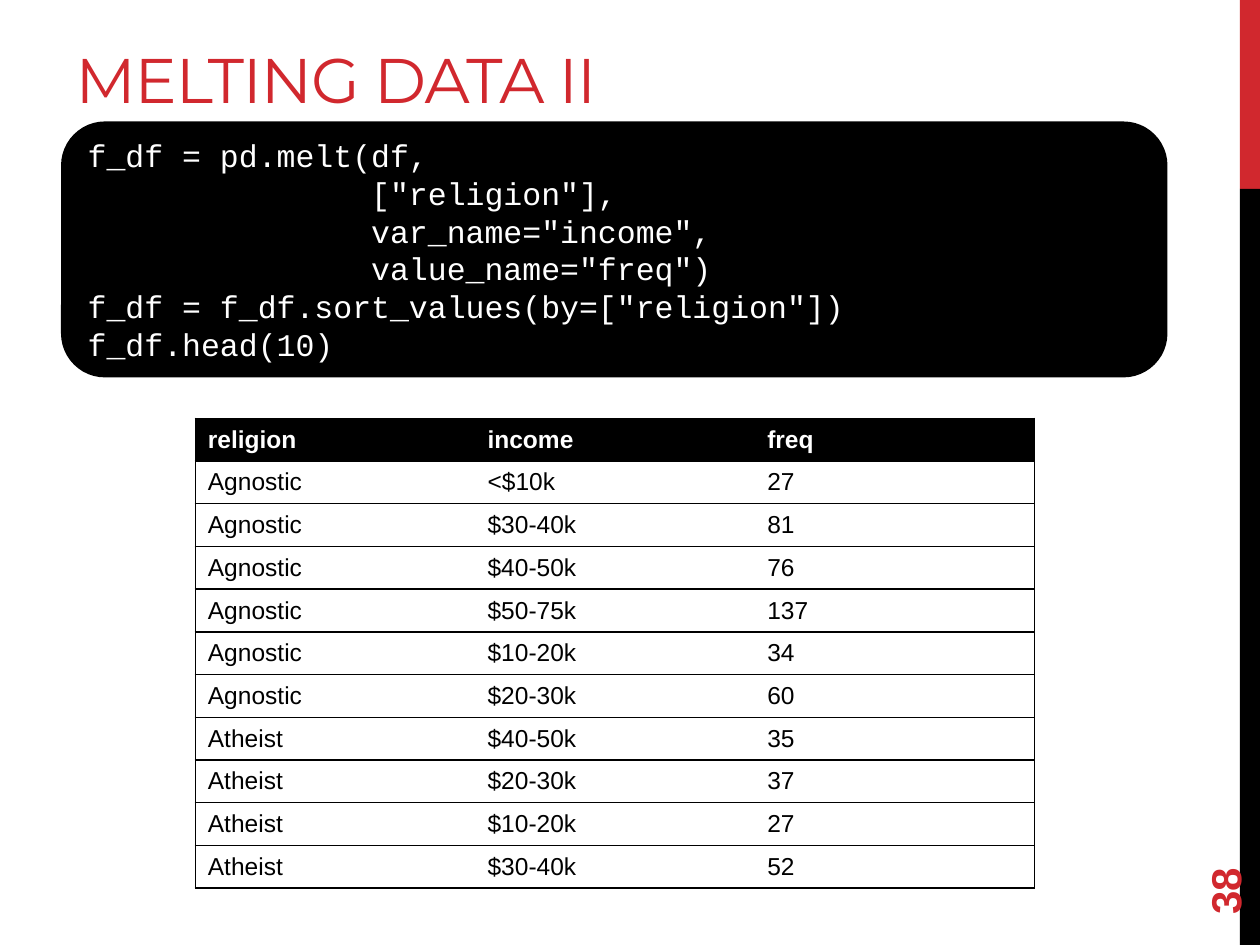
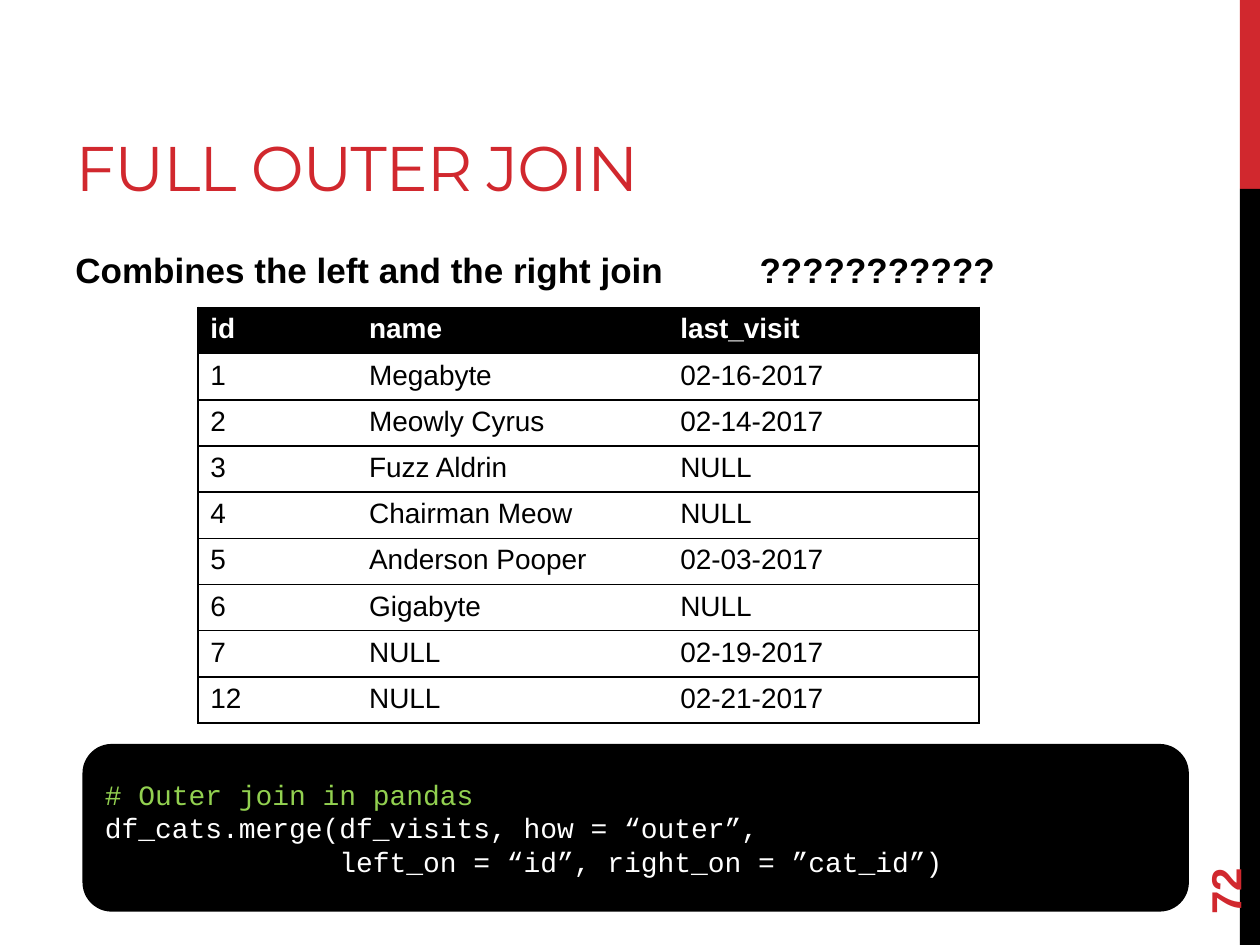
from dataclasses import dataclass

from lxml.etree import SubElement
from pptx import Presentation
from pptx.dml.color import RGBColor
from pptx.enum.shapes import MSO_SHAPE
from pptx.enum.text import MSO_ANCHOR, MSO_AUTO_SIZE, PP_ALIGN
from pptx.oxml.ns import qn
from pptx.shapes.autoshape import Shape
from pptx.slide import Slide
from pptx.table import _Cell as Cell
from pptx.text.text import TextFrame
from pptx.util import Emu, Pt

SCALE = 9144
RED = RGBColor(0xD1, 0x28, 0x2E)
BLACK = RGBColor(0x00, 0x00, 0x00)
WHITE = RGBColor(0xFF, 0xFF, 0xFF)
GREEN = RGBColor(0x92, 0xD0, 0x50)
HEAD = "Montserrat"
BODY = "Arial"
MONO = "Courier New"
LEFT = 50


@dataclass(frozen=True)
class Box:
    left: int
    top: int
    width: int
    height: int

    def emu(self) -> tuple[Emu, Emu, Emu, Emu]:
        return (px(self.left), px(self.top), px(self.width), px(self.height))


@dataclass(frozen=True)
class Grid:
    box: Box
    widths: tuple[int, ...]
    rows: tuple[tuple[str, ...], ...]
    size: int
    anchor: MSO_ANCHOR


@dataclass(frozen=True)
class Code:
    box: Box
    lines: tuple[str, ...]
    size: int


@dataclass(frozen=True)
class Page:
    title: str
    place: Box
    number: int
    grid: Grid
    code: Code
    lead: tuple[str, ...] = ()


BANDS = ((Box(984, 0, 16, 150), RED), (Box(984, 150, 16, 600), BLACK))
NUMBER = Box(900, 644, 144, 40)
LEAD = Box(LEFT, 192, 833, 53)
LEAD_TAB = 543


def px(length: int) -> Emu:
    return Emu(length * SCALE)


def write(frame: TextFrame, *lines: str, font: str = BODY, size: int = 14,
          color: RGBColor = BLACK, bold: bool = False, track: int = 0,
          anchor: MSO_ANCHOR = MSO_ANCHOR.TOP, tab: int = 0) -> None:
    frame.word_wrap = True
    frame.auto_size = MSO_AUTO_SIZE.NONE
    frame.vertical_anchor = anchor
    for index, line in enumerate(lines):
        para = frame.add_paragraph() if index else frame.paragraphs[0]
        para.alignment = PP_ALIGN.LEFT
        if tab:
            stops = SubElement(para._p.get_or_add_pPr(), qn("a:tabLst"))
            SubElement(stops, qn("a:tab"), pos=str(px(tab)), algn="l")
        run = para.add_run()
        run.text = line
        run.font.name = font
        run.font.size = Pt(size)
        run.font.bold = bold
        run.font.color.rgb = GREEN if line.startswith("# ") else color
        if track:
            run._r.get_or_add_rPr().set("spc", str(track))


def add_block(slide: Slide, kind: MSO_SHAPE, box: Box, color: RGBColor) -> Shape:
    shape = slide.shapes.add_shape(kind, *box.emu())
    shape.shadow.inherit = False
    shape.fill.solid()
    shape.fill.fore_color.rgb = color
    shape.line.fill.background()
    return shape


def add_code(slide: Slide, code: Code) -> None:
    shape = add_block(slide, MSO_SHAPE.ROUNDED_RECTANGLE, code.box, BLACK)
    shape.line.color.rgb = BLACK
    shape.line.width = Pt(2.25)
    write(shape.text_frame, *code.lines, font=MONO, size=code.size,
          color=WHITE, anchor=MSO_ANCHOR.MIDDLE)


def add_edge(cell: Cell, side: str, shown: bool) -> None:
    edge = SubElement(cell._tc.get_or_add_tcPr(), qn(f"a:ln{side}"), w=str(Pt(1)))
    if shown:
        fill = SubElement(edge, qn("a:solidFill"))
        SubElement(fill, qn("a:srgbClr"), val=str(BLACK))
    else:
        SubElement(edge, qn("a:noFill"))


def add_grid(slide: Slide, grid: Grid) -> None:
    count = len(grid.widths)
    table = slide.shapes.add_table(len(grid.rows), count, *grid.box.emu()).table
    table.horz_banding = False
    for column, width in zip(table.columns, grid.widths):
        column.width = px(width)
    for row, values in enumerate(grid.rows):
        head = row == 0
        for col, value in enumerate(values):
            cell = table.cell(row, col)
            add_edge(cell, "L", col == 0)
            add_edge(cell, "R", col == count - 1)
            add_edge(cell, "T", True)
            add_edge(cell, "B", True)
            cell.fill.solid()
            cell.fill.fore_color.rgb = BLACK if head else WHITE
            write(cell.text_frame, value, size=grid.size, bold=head,
                  color=WHITE if head else BLACK)
            cell.vertical_anchor = grid.anchor


def add_page(deck: Presentation, page: Page) -> None:
    slide = deck.slides.add_slide(deck.slide_layouts.get_by_name("Title Only"))
    for box, color in BANDS:
        add_block(slide, MSO_SHAPE.RECTANGLE, box, color)
    title = slide.shapes.title
    title.left, title.top, title.width, title.height = page.place.emu()
    write(title.text_frame, page.title, font=HEAD, size=36, color=RED,
          track=-60, anchor=MSO_ANCHOR.BOTTOM)
    if page.lead:
        lead = slide.shapes.add_textbox(*LEAD.emu())
        write(lead.text_frame, "\t".join(page.lead), size=20, bold=True, tab=LEAD_TAB)
    number = slide.shapes.add_textbox(*NUMBER.emu())
    number.rotation = 270
    write(number.text_frame, str(page.number), size=24, color=RED, bold=True,
          anchor=MSO_ANCHOR.MIDDLE)
    add_grid(slide, page.grid)
    add_code(slide, page.code)


MELT = Page(
    title="MELTING DATA II",
    place=Box(LEFT, 20, 633, 77),
    number=38,
    grid=Grid(
        box=Box(155, 332, 667, 373),
        widths=(222, 222, 222),
        rows=(
            ("religion", "income", "freq"),
            ("Agnostic", "<$10k", "27"),
            ("Agnostic", "$30-40k", "81"),
            ("Agnostic", "$40-50k", "76"),
            ("Agnostic", "$50-75k", "137"),
            ("Agnostic", "$10-20k", "34"),
            ("Agnostic", "$20-30k", "60"),
            ("Atheist", "$40-50k", "35"),
            ("Atheist", "$20-30k", "37"),
            ("Atheist", "$10-20k", "27"),
            ("Atheist", "$30-40k", "52"),
        ),
        size=14,
        anchor=MSO_ANCHOR.MIDDLE,
    ),
    code=Code(
        box=Box(LEFT, 98, 875, 200),
        lines=(
            'f_df = pd.melt(df,',
            '               ["religion"],',
            '               var_name="income",',
            '               value_name="freq")',
            'f_df = f_df.sort_values(by=["religion"])',
            'f_df.head(10)',
        ),
        size=18,
    ),
)

JOIN = Page(
    title="FULL OUTER JOIN",
    place=Box(LEFT, 17, 633, 150),
    number=72,
    lead=("Combines the left and the right join", "???????????"),
    grid=Grid(
        box=Box(157, 244, 620, 330),
        widths=(126, 247, 247),
        rows=(
            ("id", "name", "last_visit"),
            ("1", "Megabyte", "02-16-2017"),
            ("2", "Meowly Cyrus", "02-14-2017"),
            ("3", "Fuzz Aldrin", "NULL"),
            ("4", "Chairman Meow", "NULL"),
            ("5", "Anderson Pooper", "02-03-2017"),
            ("6", "Gigabyte", "NULL"),
            ("7", "NULL", "02-19-2017"),
            ("12", "NULL", "02-21-2017"),
        ),
        size=16,
        anchor=MSO_ANCHOR.TOP,
    ),
    code=Code(
        box=Box(67, 592, 875, 130),
        lines=(
            "# Outer join in pandas",
            "df_cats.merge(df_visits, how = “outer”,",
            "              left_on = “id”, right_on = ”cat_id”)",
        ),
        size=16,
    ),
)


def main() -> None:
    deck = Presentation()
    deck.slide_width = px(1000)
    deck.slide_height = px(750)
    for page in (MELT, JOIN):
        add_page(deck, page)
    deck.save("out.pptx")


if __name__ == "__main__":
    main()
